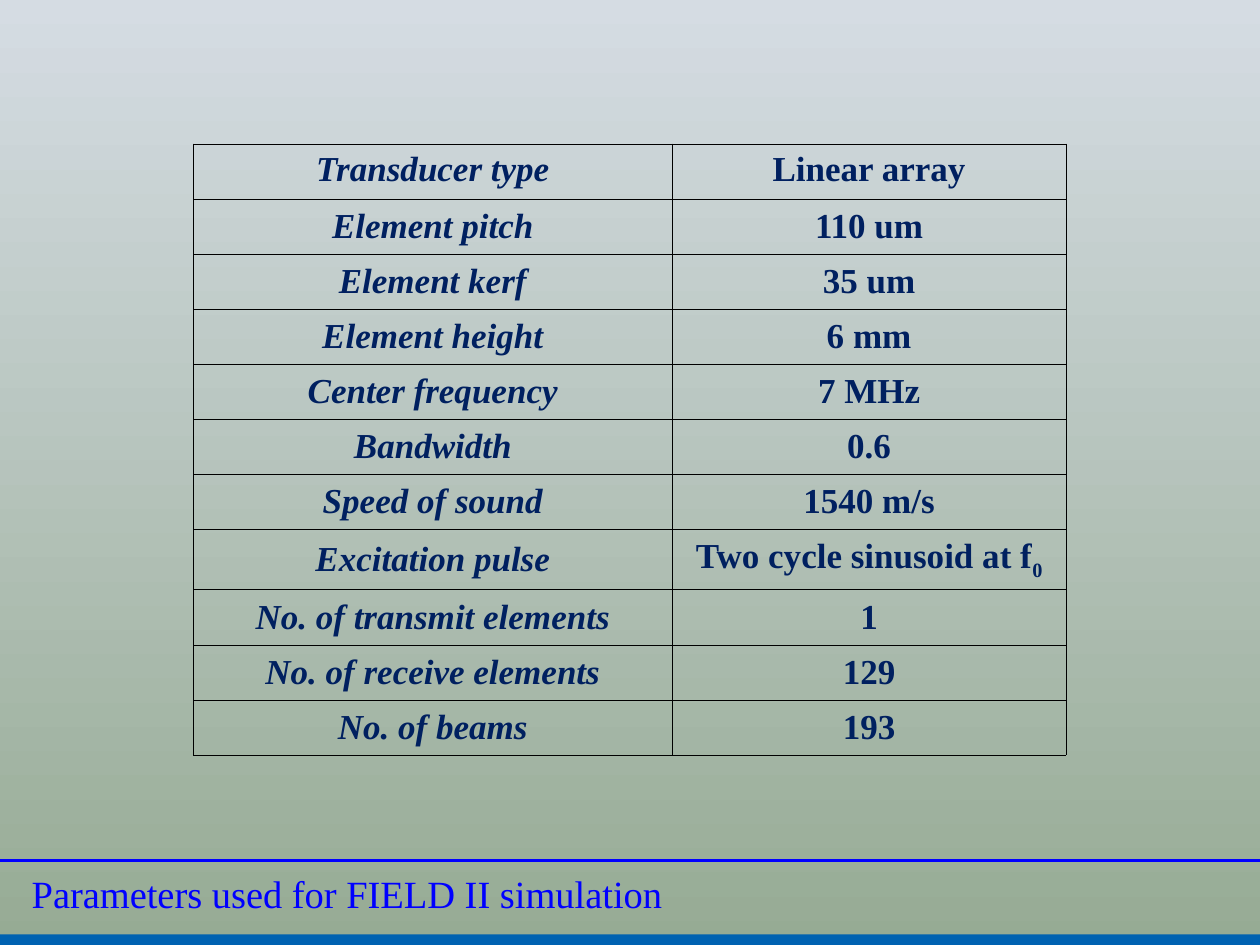
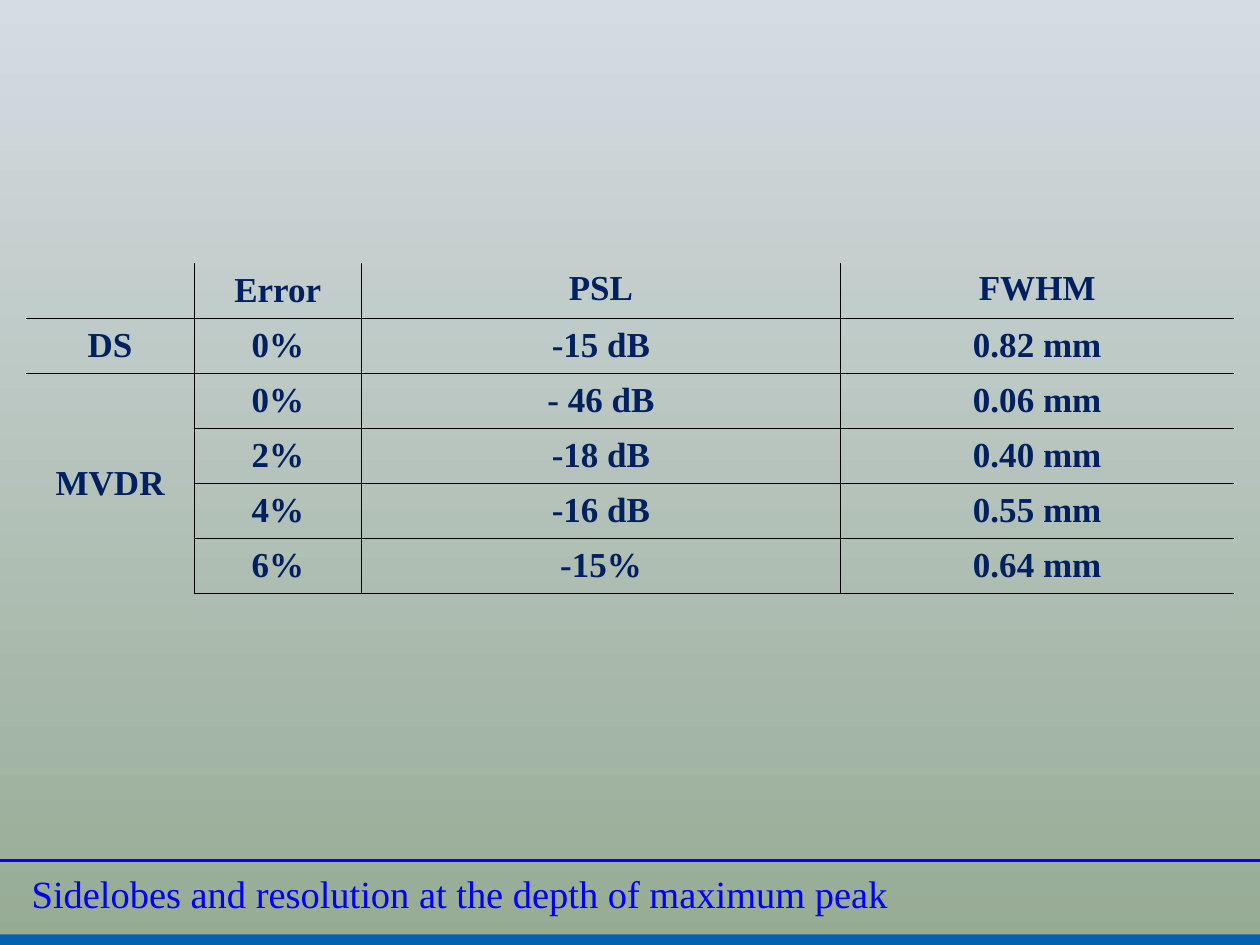
"""Build two slides of simulation tables: parameters, then sidelobes and resolution."""
from lxml.etree import SubElement
from pptx import Presentation
from pptx.dml.color import RGBColor
from pptx.enum.shapes import MSO_CONNECTOR, MSO_SHAPE
from pptx.enum.text import MSO_ANCHOR, PP_ALIGN
from pptx.oxml import parse_xml
from pptx.oxml.ns import nsdecls, qn
from pptx.util import Cm, Pt

SKY = RGBColor(0xD5, 0xDC, 0xE3)
SAGE = RGBColor(0x96, 0xAB, 0x94)
BAND = RGBColor(0x00, 0x62, 0xB1)
BLUE = RGBColor(0x00, 0x00, 0xFF)
NAVY = RGBColor(0x00, 0x20, 0x60)
FONT = "Times New Roman"
NO_STYLE = "{2D5ABB26-0587-4C30-8999-92F81FD0307C}"
ROW_H = 1.11

PARAMETERS = [
    ("Transducer type", "Linear array"),
    ("Element pitch", "110 um"),
    ("Element kerf", "35 um"),
    ("Element height", "6 mm"),
    ("Center frequency", "7 MHz"),
    ("Bandwidth", "0.6"),
    ("Speed of sound", "1540 m/s"),
    ("Excitation pulse", "Two cycle sinusoid at f_0"),
    ("No. of transmit elements", "1"),
    ("No. of receive elements", "129"),
    ("No. of beams", "193"),
]
RESULTS = [
    ("", "Error", "PSL", "FWHM"),
    ("DS", "0%", "-15 dB", "0.82 mm"),
    ("MVDR", "0%", "- 46 dB", "0.06 mm"),
    ("", "2%", "-18 dB", "0.40 mm"),
    ("", "4%", "-16 dB", "0.55 mm"),
    ("", "6%", "-15%", "0.64 mm"),
]
SLIDES = [
    ("Parameters used for FIELD II simulation", PARAMETERS, 3.9, 2.9, (9.65, 7.94), True),
    ("Sidelobes and resolution at the depth of maximum peak", RESULTS, 0.53, 5.3,
     (3.38, 3.38, 9.65, 7.94), False),
]


def add_run(p, text, size, color, bold=False, italic=False):
    r = p.add_run()
    r.text = text
    r.font.name, r.font.size = FONT, Pt(size)
    r.font.bold, r.font.italic = bold, italic
    r.font.color.rgb = color
    return r


def add_border(cell, side):
    cell._tc.get_or_add_tcPr().append(parse_xml(
        f'<a:ln{side} {nsdecls("a")} w="{Pt(0.45)}"><a:solidFill>'
        f'<a:srgbClr val="000000"/></a:solidFill></a:ln{side}>'))


prs = Presentation()
prs.slide_width, prs.slide_height = Cm(25.4), Cm(19.05)

for title, rows, left, top, widths, framed in SLIDES:
    s = prs.slides.add_slide(prs.slide_layouts[6])
    fill = s.background.fill
    fill.gradient()
    fill.gradient_angle = 270
    for stop, color, position in zip(fill.gradient_stops, (SKY, SAGE), (0, 1)):
        stop.color.rgb = color
        stop.position = position

    sp = s.shapes.add_shape(MSO_SHAPE.ROUNDED_RECTANGLE, 0, Cm(18.85), Cm(25.4), Cm(0.2))
    sp.adjustments[0] = 0.02
    sp.shadow.inherit = False
    sp.fill.solid()
    sp.fill.fore_color.rgb = BAND
    sp.line.color.rgb = BAND
    sp.line.width = Pt(0.75)

    rule = s.shapes.add_connector(MSO_CONNECTOR.STRAIGHT, 0, Cm(17.35), Cm(25.4), Cm(17.35))
    rule.line.color.rgb = BLUE
    rule.line.width = Pt(1.75)
    SubElement(rule._element.spPr, qn("a:effectLst"))

    tf = s.shapes.add_textbox(Cm(0.64), Cm(17.15), Cm(24.13), Cm(1.47)).text_frame
    tf.word_wrap = True
    tf.vertical_anchor = MSO_ANCHOR.MIDDLE
    tf.margin_left = tf.margin_right = tf.margin_top = tf.margin_bottom = 0
    p = tf.paragraphs[0]
    p.line_spacing = 1.24
    add_run(p, title, 22, BLUE)

    frame = s.shapes.add_table(len(rows), len(widths), Cm(left), Cm(top),
                               Cm(sum(widths)), Cm(ROW_H * len(rows)))
    table = frame.table
    table.first_row = table.horz_banding = False
    table._tbl.tblPr.find(qn("a:tableStyleId")).text = NO_STYLE
    for column, width in zip(table.columns, widths):
        column.width = Cm(width)
    for i, values in enumerate(rows):
        table.rows[i].height = Cm(1.22 if "_" in values[-1] else ROW_H)
        for j, text in enumerate(values):
            cell = table.cell(i, j)
            in_method = not framed and j == 0
            sides = {
                "L": framed or j > 0,
                "R": framed or j < len(values) - 1,
                "T": framed or (0 < i < 3 if in_method else i > 0),
                "B": framed or not in_method or i < 2,
            }
            for side, drawn in sides.items():
                if drawn:
                    add_border(cell, side)
            cell.fill.background()
            at_top = i == 0 and text != "Error"
            cell.vertical_anchor = MSO_ANCHOR.TOP if at_top else MSO_ANCHOR.MIDDLE
            p = cell.text_frame.paragraphs[0]
            p.alignment = PP_ALIGN.CENTER
            base, _, subscript = text.partition("_")
            if base:
                add_run(p, base, 20, NAVY, True, framed and j == 0)
            if subscript:
                r = add_run(p, subscript, 20, NAVY, True)
                r._r.get_or_add_rPr().set("baseline", "-25000")
    if not framed:
        table.cell(2, 0).merge(table.cell(5, 0))

prs.save("out.pptx")
